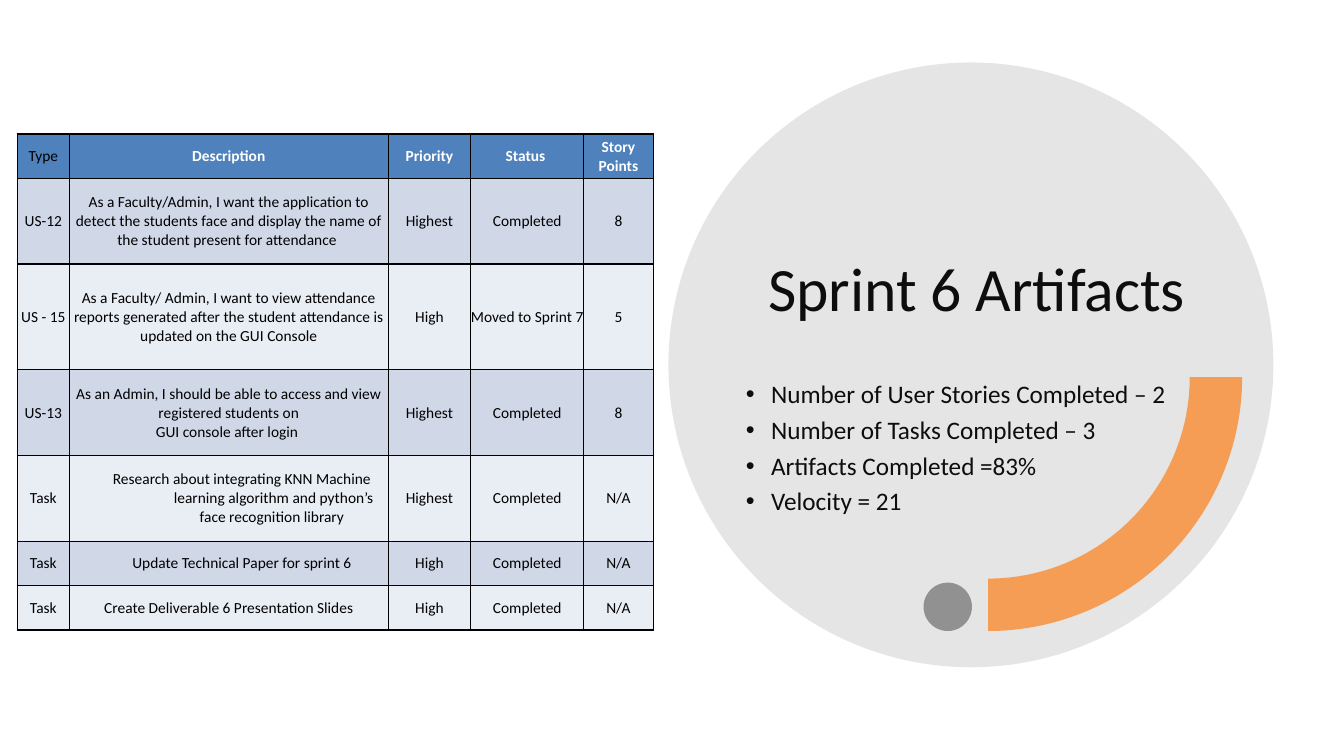
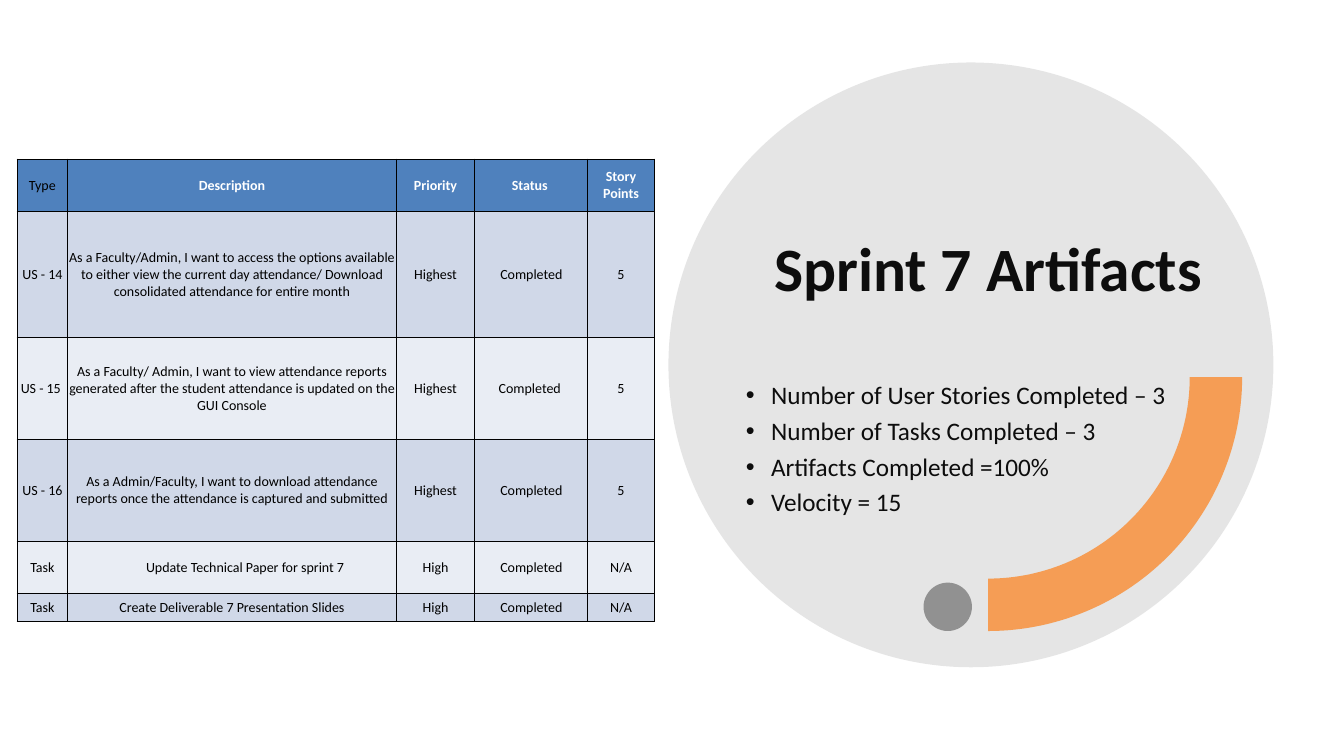
from dataclasses import dataclass
from math import cos, pi, sin

from lxml.etree import SubElement
from pptx import Presentation
from pptx.dml.color import RGBColor
from pptx.enum.shapes import MSO_SHAPE as Preset
from pptx.enum.text import MSO_ANCHOR as Anchor, PP_ALIGN as Align
from pptx.oxml.ns import qn
from pptx.util import Inches, Pt

FONT = "Calibri"
COLORS = {
    "disc": "808080",
    "dot": "595959",
    "arc": "F79646",
    "text": "0D0D0D",
    "black": "000000",
    "white": "FFFFFF",
    "header": "4F81BD",
    "band_dark": "D0D8E8",
    "band_light": "E9EDF4",
}
HEADINGS = ("Type", "Description", "Priority", "Status ", "Story Points")
DESCRIPTION_COLUMN = 1


@dataclass
class Sprint:
    title: str
    title_at: tuple
    title_bold: bool
    points: tuple
    points_at: tuple
    table_top: float
    table_size: int
    columns: tuple
    heights: tuple
    stories: tuple
    hanging_rows: tuple


SPRINTS = (
    Sprint(
        title="Sprint 6 Artifacts",
        title_at=(7.52, 1.5, 4.56, 1.77),
        title_bold=False,
        points=(
            "Number of User Stories Completed – 2",
            "Number of Tasks Completed – 3",
            "Artifacts Completed =83%",
            "Velocity = 21",
        ),
        points_at=(7.17, 3.74, 4.56, 1.85),
        table_top=1.33,
        table_size=11,
        columns=(0.52, 3.16, 0.82, 1.12, 0.69),
        heights=(0.44, 0.85, 1.05, 0.85, 0.85, 0.44, 0.44),
        stories=(
            ("US-12", "As a Faculty/Admin, I want the application to detect the students "
             "face and display the name of the student present for attendance ",
             "Highest", "Completed", "8"),
            ("US - 15", "As a Faculty/ Admin, I want to view attendance reports generated "
             "after the student attendance is updated on the GUI Console",
             "High", "Moved to Sprint 7", "5"),
            ("US-13", "As an Admin, I should be able to access and view registered "
             "students on\vGUI console after login ",
             "Highest", "Completed", "8"),
            ("Task", "Research about integrating KNN Machine learning algorithm and "
             "python’s face recognition library ",
             "Highest", "Completed", "N/A"),
            ("Task", "Update Technical Paper for sprint 6", "High", "Completed", "N/A"),
            ("Task", "Create Deliverable 6 Presentation Slides", "High", "Completed", "N/A"),
        ),
        hanging_rows=(4, 5),
    ),
    Sprint(
        title="Sprint 7 Artifacts",
        title_at=(7.58, 1.3, 4.56, 1.77),
        title_bold=True,
        points=(
            "Number of User Stories Completed – 3",
            "Number of Tasks Completed – 3",
            "Artifacts Completed =100%",
            "Velocity = 15",
        ),
        points_at=(7.17, 3.75, 4.64, 2.01),
        table_top=1.58,
        table_size=10,
        columns=(0.5, 3.26, 0.78, 1.12, 0.66),
        heights=(0.52, 1.25, 1.01, 1.01, 0.52, 0.28),
        stories=(
            ("US - 14", "As a Faculty/Admin, I want to access the options available to "
             "either view the current day attendance/ Download consolidated attendance "
             "for entire month",
             "Highest", "Completed", "5"),
            ("US - 15 ", "As a Faculty/ Admin, I want to view attendance reports generated "
             "after the student attendance is updated on the GUI Console",
             "Highest", "Completed ", "5"),
            ("US - 16", "As a Admin/Faculty, I want to download attendance reports once "
             "the attendance is captured and submitted",
             "Highest", "Completed", "5"),
            ("Task", "Update Technical Paper for sprint 7", "High", "Completed", "N/A"),
            ("Task", "Create Deliverable 7 Presentation Slides", "High", "Completed", "N/A"),
        ),
        hanging_rows=(4,),
    ),
)


def rgb(name):
    return RGBColor.from_string(COLORS[name])


def style_font(para, size, color, bold=False):
    font = para.font
    font.name, font.size, font.bold = FONT, Pt(size), bold
    font.color.rgb = rgb(color)


def set_indent(para, left, first):
    properties = para._p.get_or_add_pPr()
    properties.set("marL", str(Inches(left)))
    properties.set("indent", str(Inches(first)))
    return properties


def paint(shape, color, opacity):
    """Fill with a see-through colour, without outline or shadow."""
    shape.shadow.inherit = False
    shape.line.fill.background()
    shape.fill.solid()
    shape.fill.fore_color.rgb = rgb(color)
    color_node = shape.fill._xPr.find(qn("a:solidFill"))[0]
    SubElement(color_node, qn("a:alpha"), val=str(opacity * 1000))


def add_circle(page, left, top, size, color, opacity):
    circle = page.shapes.add_shape(
        Preset.OVAL, Inches(left), Inches(top), Inches(size), Inches(size))
    paint(circle, color, opacity)


def add_quarter_ring(page, center_x, center_y, outer, inner, color, opacity):
    """Draw the lower right quarter of a ring."""
    steps = 60
    angles = [pi / 2 * step / steps for step in range(steps + 1)]
    outline = [(outer, angle) for angle in angles]
    outline += [(inner, angle) for angle in reversed(angles)]
    points = [(Inches(center_x + radius * cos(angle)), Inches(center_y + radius * sin(angle)))
              for radius, angle in outline]
    builder = page.shapes.build_freeform(*points[0])
    builder.add_line_segments(points[1:], close=True)
    paint(builder.convert_to_shape(), color, opacity)


def add_text_frame(page, at, anchor):
    frame = page.shapes.add_textbox(*map(Inches, at)).text_frame
    frame.word_wrap = True
    frame.vertical_anchor = anchor
    return frame


def add_title(page, text, at, bold):
    para = add_text_frame(page, at, Anchor.BOTTOM).paragraphs[0]
    para.text = text
    para.line_spacing = 0.9
    style_font(para, 44, "text", bold)


def add_bullets(page, points, at):
    frame = add_text_frame(page, at, Anchor.TOP)
    for index, point in enumerate(points):
        para = frame.add_paragraph() if index else frame.paragraphs[0]
        para.text = point
        para.line_spacing = 0.9
        para.space_after = Pt(6)
        properties = set_indent(para, 0.38, -0.25)
        SubElement(properties, qn("a:buFont"), typeface="Arial")
        SubElement(properties, qn("a:buChar"), char="•")
        style_font(para, 18, "text")


def add_borders(cell):
    properties = cell._tc.get_or_add_tcPr()
    for side in ("lnL", "lnR", "lnT", "lnB"):
        line = SubElement(properties, qn(f"a:{side}"), w=str(Pt(1)))
        fill = SubElement(line, qn("a:solidFill"))
        SubElement(fill, qn("a:srgbClr"), val=COLORS["black"])


def fill_cell(cell, text, size, fill, color, bold):
    cell.margin_left = cell.margin_right = cell.margin_top = cell.margin_bottom = 0
    cell.vertical_anchor = Anchor.MIDDLE
    add_borders(cell)
    cell.fill.solid()
    cell.fill.fore_color.rgb = rgb(fill)
    para = cell.text_frame.paragraphs[0]
    para.text = text
    para.alignment = Align.CENTER
    style_font(para, size, color, bold)


def add_story_table(page, sprint):
    rows = (HEADINGS,) + sprint.stories
    table = page.shapes.add_table(
        len(rows), len(HEADINGS), Inches(0.17), Inches(sprint.table_top),
        Inches(sum(sprint.columns)), Inches(sum(sprint.heights))).table
    table.first_row = table.horz_banding = False
    for column, width in zip(table.columns, sprint.columns):
        column.width = Inches(width)
    for row, height in zip(table.rows, sprint.heights):
        row.height = Inches(height)
    for row_index, row in enumerate(rows):
        band = "band_dark" if row_index % 2 else "band_light"
        fill = band if row_index else "header"
        for column_index, text in enumerate(row):
            strong = row_index == 0 and column_index > 0
            fill_cell(table.cell(row_index, column_index), text, sprint.table_size,
                      fill, "white" if strong else "black", strong)
    for row_index in sprint.hanging_rows:
        cell = table.cell(row_index, DESCRIPTION_COLUMN)
        set_indent(cell.text_frame.paragraphs[0], 0.89, -0.63)


def add_sprint_page(deck, sprint):
    page = deck.slides.add_slide(deck.slide_layouts[6])
    add_circle(page, 6.63, 0.62, 6, "disc", 20)
    add_title(page, sprint.title, sprint.title_at, sprint.title_bold)
    add_circle(page, 9.16, 5.78, 0.48, "dot", 60)
    add_quarter_ring(page, 9.8, 3.74, 2.52, 2, "arc", 90)
    add_bullets(page, sprint.points, sprint.points_at)
    add_story_table(page, sprint)


def main():
    deck = Presentation()
    deck.slide_width, deck.slide_height = Inches(13.33), Inches(7.5)
    for sprint in SPRINTS:
        add_sprint_page(deck, sprint)
    deck.save("out.pptx")


if __name__ == "__main__":
    main()
